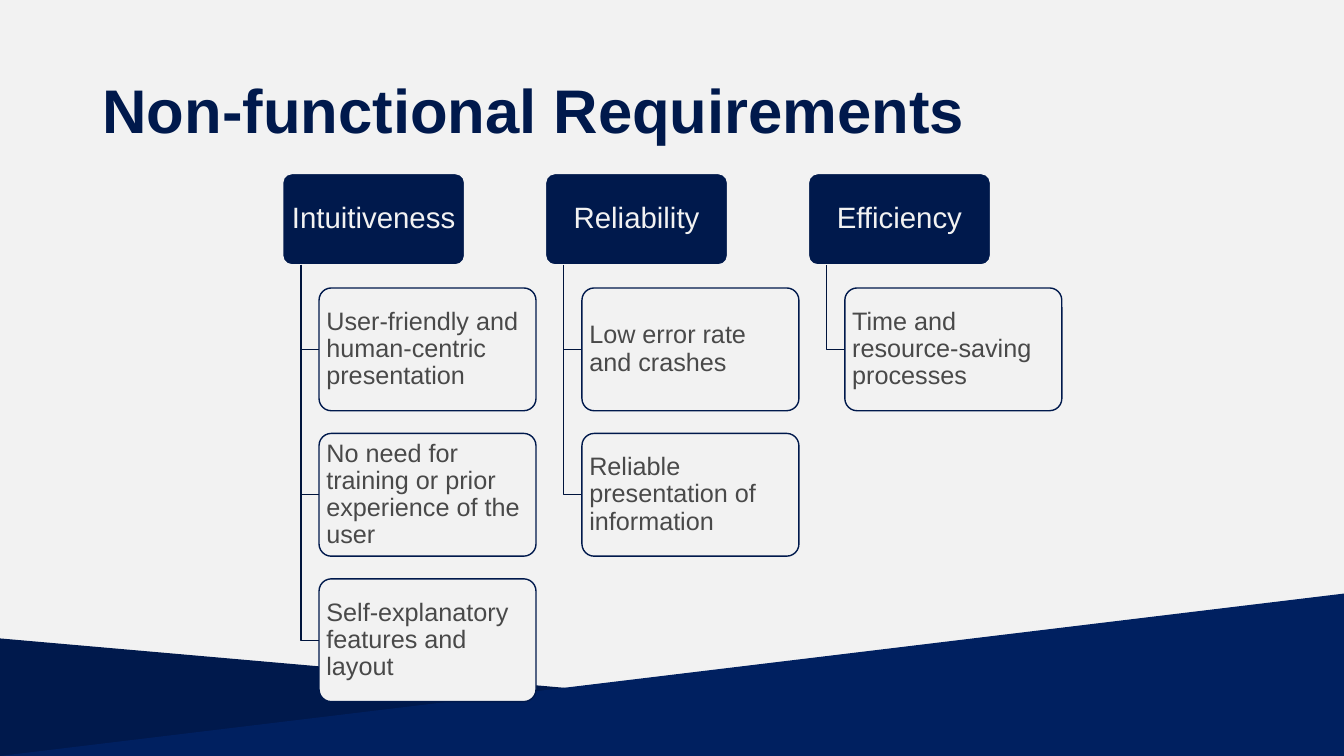
from pptx import Presentation
from pptx.dml.color import RGBColor
from pptx.enum.shapes import MSO_SHAPE as SHAPE
from pptx.enum.text import MSO_ANCHOR as ANCHOR, PP_ALIGN as ALIGN
from pptx.util import Pt

NAVY = RGBColor(0x00, 0x19, 0x4C)
BLUE = RGBColor(0x00, 0x20, 0x60)
BRANCH = RGBColor(0x00, 0x14, 0x3D)
PALE = RGBColor(0xF2, 0xF2, 0xF2)
GREY = RGBColor(0x49, 0x49, 0x49)

TITLE = "Non-functional Requirements"
REQUIREMENTS = {
    "Intuitiveness": [
        "User-friendly and human-centric presentation",
        "No need for training or prior experience of the user",
        "Self-explanatory features and layout",
    ],
    "Reliability": [
        "Low error rate and crashes",
        "Reliable presentation of information",
    ],
    "Efficiency": ["Time and resource-saving processes"],
}

SLIDE_W, SLIDE_H = 960, 540
HILLS = [(84, NAVY, False), (116, BLUE, True)]
HEAD_X, HEAD_Y, HEAD_W, HEAD_H = 201.9, 124, 130, 65.2
ITEM_Y, ITEM_W, ITEM_H = 205.7, 155, 87.7
COL_STEP, ROW_STEP = 187.8, 103.9
TRUNK_DX, ITEM_DX = 13, 26

HEAD_FONT = dict(name="Arial", size=Pt(21))
ITEM_FONT = dict(name="Arial", size=Pt(18))
TITLE_FONT = dict(name="Arial", size=Pt(44), bold=True)
FRAME = dict(word_wrap=True, vertical_anchor=ANCHOR.MIDDLE,
             margin_left=Pt(2.7), margin_right=Pt(2.7),
             margin_top=Pt(2), margin_bottom=Pt(2))


def apply(target, values):
    for key, value in values.items():
        setattr(target, key, value)


def add_filled(s, kind, box, adj, fill):
    sp = s.shapes.add_shape(kind, *map(Pt, box))
    sp.adjustments[0] = adj
    sp.shadow.inherit = False
    sp.fill.solid()
    sp.fill.fore_color.rgb = fill
    return sp


def set_line(sp, color):
    sp.line.color.rgb = color
    sp.line.width = Pt(1)


def write(tf, text, font, color, align):
    p = tf.paragraphs[0]
    apply(p, dict(alignment=align, line_spacing=0.9))
    r = p.add_run()
    r.text = text
    apply(r.font, font)
    r.font.color.rgb = color


def add_card(s, box, text, fill, line, font, color, align):
    sp = add_filled(s, SHAPE.ROUNDED_RECTANGLE, box, 0.1, fill)
    set_line(sp, line)
    apply(sp.text_frame, FRAME)
    write(sp.text_frame, text, font, color, align)


def add_branch(s, x, top, bottom, right):
    fb = s.shapes.build_freeform(Pt(x), Pt(top))
    fb.add_line_segments([(Pt(x), Pt(bottom)), (Pt(right), Pt(bottom))], close=False)
    sp = fb.convert_to_shape()
    sp.shadow.inherit = False
    sp.fill.background()
    set_line(sp, BRANCH)


def main():
    prs = Presentation()
    prs.slide_width, prs.slide_height = Pt(SLIDE_W), Pt(SLIDE_H)
    s = prs.slides.add_slide(prs.slide_layouts[5])
    s.background.fill.solid()
    s.background.fill.fore_color.rgb = PALE

    for height, color, flipped in HILLS:
        box = (0, SLIDE_H - height, SLIDE_W, height)
        hill = add_filled(s, SHAPE.ISOSCELES_TRIANGLE, box, 0, color)
        hill.line.fill.background()
        if flipped:
            hill._element.spPr.xfrm.set("flipH", "1")

    title = s.shapes.title
    apply(title, dict(left=Pt(66), top=Pt(28.75), width=Pt(828), height=Pt(104.4)))
    title.text_frame.vertical_anchor = ANCHOR.MIDDLE
    write(title.text_frame, TITLE, TITLE_FONT, NAVY, ALIGN.LEFT)

    for col, (heading, items) in enumerate(REQUIREMENTS.items()):
        x = HEAD_X + col * COL_STEP
        add_card(s, (x, HEAD_Y, HEAD_W, HEAD_H), heading,
                 NAVY, PALE, HEAD_FONT, PALE, ALIGN.CENTER)
        for row, item in enumerate(items):
            y = ITEM_Y + row * ROW_STEP
            add_branch(s, x + TRUNK_DX, HEAD_Y + HEAD_H, y + ITEM_H / 2, x + ITEM_DX)
            add_card(s, (x + ITEM_DX, y, ITEM_W, ITEM_H), item,
                     PALE, NAVY, ITEM_FONT, GREY, ALIGN.LEFT)

    prs.save("out.pptx")


if __name__ == "__main__":
    main()
